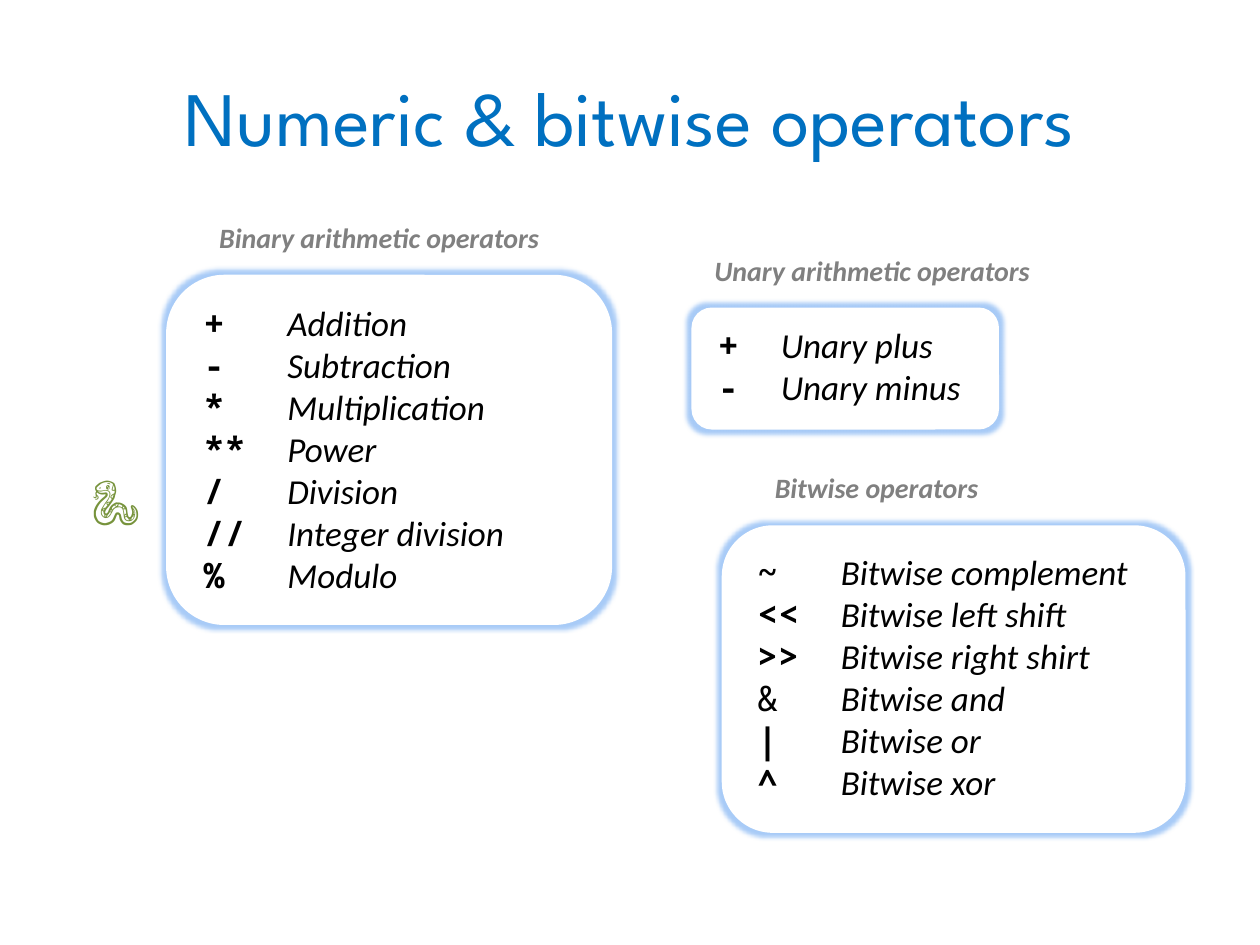
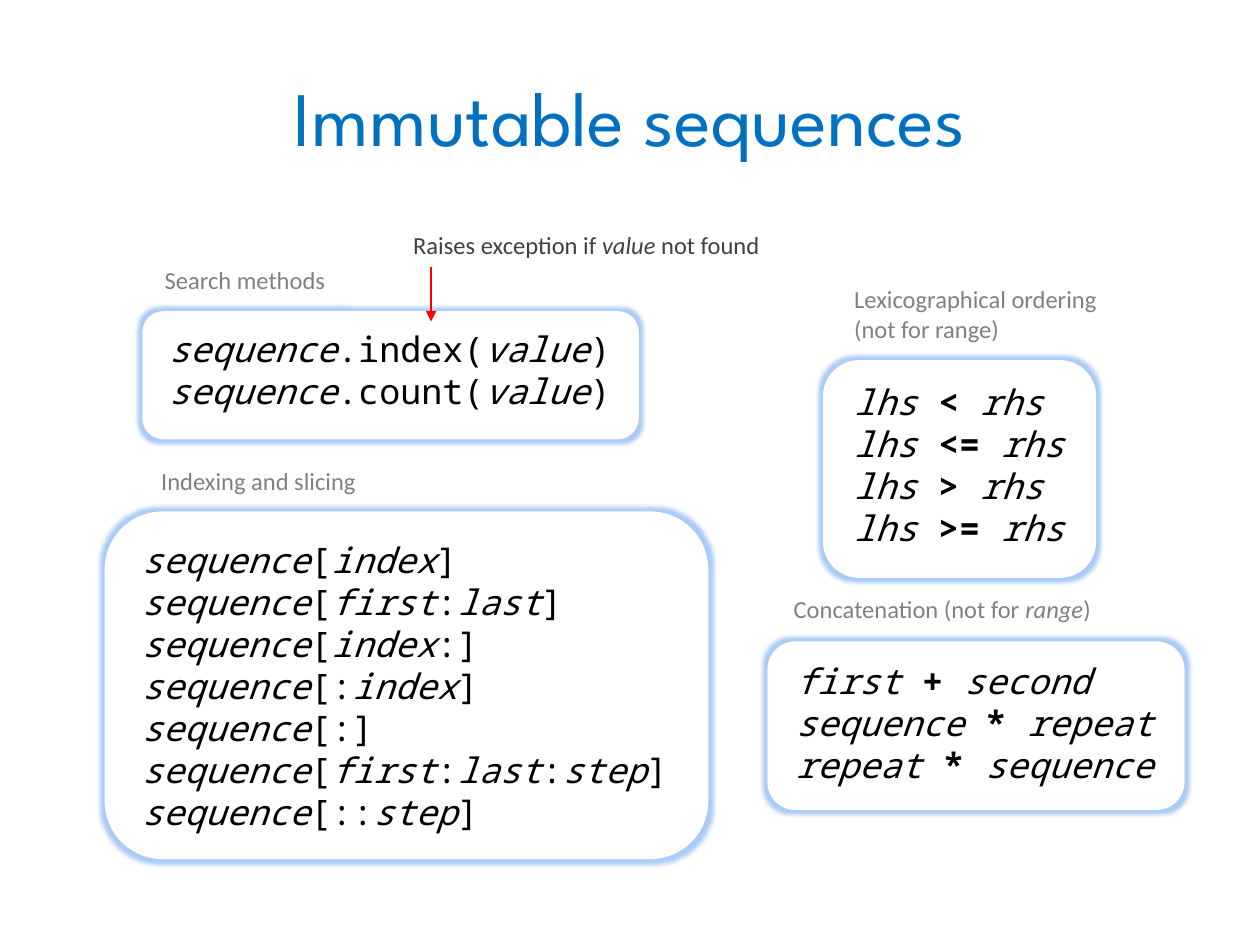
"""Build two reference slides on operators and immutable sequences."""
from dataclasses import dataclass
from typing import Any, NamedTuple

from lxml.etree import SubElement
from pptx import Presentation
from pptx.dml.color import RGBColor
from pptx.enum.shapes import MSO_CONNECTOR as Connector, MSO_SHAPE as Preset
from pptx.enum.text import MSO_ANCHOR as Anchor, PP_ALIGN as Align
from pptx.oxml.ns import qn
from pptx.util import Cm, Pt


@dataclass(frozen=True)
class Theme:
    title_color: str = "0070C0"
    ink: str = "000000"
    caption_color: str = "808080"
    note_color: str = "404040"
    arrow_color: str = "FF0000"
    snake_color: str = "77933C"
    panel_color: str = "FFFFFF"
    glow_color: str = "A8CBF7"
    title_font: str = "League Spartan"
    text_font: str = "Calibri"
    code_font: str = "Noto Sans Mono"
    title_size: int = 44
    panel_size: int = 20
    panel_leading: int = 24
    heading_size: int = 16
    caption_size: int = 14
    snake_size: int = 28


THEME = Theme()


class Frame(NamedTuple):
    left: float
    top: float
    width: float
    height: float

    def lengths(self) -> list[Cm]:
        return [Cm(value) for value in self]


class Style(NamedTuple):
    font: str
    size: int
    color: str
    bold: bool = False
    italic: bool = False


class Span(NamedTuple):
    text: str
    style: Style


Row = list[Span]

TITLE = Style(THEME.title_font, THEME.title_size, THEME.title_color)
CODE = Style(THEME.code_font, THEME.panel_size, THEME.ink)
CODE_BOLD = CODE._replace(bold=True)
CODE_ITALIC = CODE._replace(italic=True)
MEANING = Style(THEME.text_font, THEME.panel_size, THEME.ink, italic=True)
HEADING = Style(THEME.text_font, THEME.heading_size, THEME.caption_color, True, True)
CAPTION = Style(THEME.text_font, THEME.caption_size, THEME.caption_color)
NOTE = CAPTION._replace(color=THEME.note_color)
SNAKE = Style(THEME.text_font, THEME.snake_size, THEME.snake_color)

TITLE_FRAME = Frame(1.27, 0.74, 22.86, 3.18)
PANEL_INSETS = {"margin_left": Cm(0.41), "margin_right": Cm(0.41),
                "margin_top": Cm(0.2), "margin_bottom": Cm(0.2)}


@dataclass(frozen=True)
class Panel:
    frame: Frame
    rows: list[Row]
    tab: float | None = None


@dataclass(frozen=True)
class Label:
    frame: Frame
    row: Row
    wrap: bool = True


@dataclass(frozen=True)
class Arrow:
    x: float
    top: float
    bottom: float


@dataclass(frozen=True)
class Content:
    title: str
    panels: list[Panel]
    labels: list[Label]
    arrows: list[Arrow]


def operators(*pairs: tuple[str, str], plain: str = "") -> list[Row]:
    """Pair each operator with its meaning after a tab."""
    return [[Span(sign + "\t", CODE if sign == plain else CODE_BOLD), Span(meaning, MEANING)]
            for sign, meaning in pairs]


def alternate(line: str, odd: Style, even: Style) -> Row:
    """Split a line at bars and give its parts two styles in turn."""
    return [Span(text, (odd, even)[index % 2]) for index, text in enumerate(line.split("|"))]


def code_rows(*lines: str, sign: Style) -> list[Row]:
    """Set names in italic code and the signs between them in the given style."""
    return [alternate(line, CODE_ITALIC, sign) for line in lines]


def caption(text: str, style: Style) -> Row:
    """Alternate a caption between upright and italic."""
    return alternate(text, style, style._replace(italic=True))


def set_format(target: Any, values: dict[str, Any]) -> None:
    """Set every attribute named in the dict."""
    for name, value in values.items():
        setattr(target, name, value)


def write_row(para: Any, row: Row) -> None:
    """Add the styled spans of a row to a paragraph."""
    for text, style in row:
        span = para.add_run()
        span.text = text
        set_format(span.font, {"name": style.font, "size": Pt(style.size),
                               "bold": style.bold, "italic": style.italic})
        span.font.color.rgb = RGBColor.from_string(style.color)


def draw_title(page: Any, text: str) -> None:
    """Place and format the title placeholder."""
    box = page.shapes.title
    set_format(box, dict(zip(("left", "top", "width", "height"), TITLE_FRAME.lengths())))
    box.text_frame.vertical_anchor = Anchor.MIDDLE
    para = box.text_frame.paragraphs[0]
    para.alignment = Align.CENTER
    write_row(para, [Span(text, TITLE)])


def add_glow(box: Any) -> None:
    """Replace the shadow of a shape by a soft glow."""
    box.shadow.inherit = False
    effects = box._element.spPr.find(qn("a:effectLst"))
    glow = SubElement(effects, qn("a:glow"), rad=str(Pt(5)))
    SubElement(glow, qn("a:srgbClr"), val=THEME.glow_color)


def draw_panel(page: Any, panel: Panel) -> None:
    """Draw a glowing rounded panel with its rows."""
    box = page.shapes.add_shape(Preset.ROUNDED_RECTANGLE, *panel.frame.lengths())
    box.fill.solid()
    box.fill.fore_color.rgb = RGBColor.from_string(THEME.panel_color)
    box.line.fill.background()
    add_glow(box)
    frame = box.text_frame
    set_format(frame, {"word_wrap": True, "vertical_anchor": Anchor.TOP, **PANEL_INSETS})
    for index, row in enumerate(panel.rows):
        para = frame.add_paragraph() if index else frame.paragraphs[0]
        set_format(para, {"alignment": Align.LEFT, "line_spacing": Pt(THEME.panel_leading)})
        if panel.tab:
            stops = SubElement(para._p.get_or_add_pPr(), qn("a:tabLst"))
            SubElement(stops, qn("a:tab"), pos=str(Cm(panel.tab)), algn="l")
        write_row(para, row)


def draw_label(page: Any, label: Label) -> None:
    """Draw a free text label."""
    box = page.shapes.add_textbox(*label.frame.lengths())
    box.text_frame.word_wrap = label.wrap
    write_row(box.text_frame.paragraphs[0], label.row)


def draw_arrow(page: Any, arrow: Arrow) -> None:
    """Draw a thin arrow pointing down."""
    line = page.shapes.add_connector(Connector.STRAIGHT, Cm(arrow.x), Cm(arrow.top),
                                     Cm(arrow.x), Cm(arrow.bottom))
    line.line.color.rgb = RGBColor.from_string(THEME.arrow_color)
    line.line.width = Pt(0.75)
    SubElement(line.line._get_or_add_ln(), qn("a:tailEnd"), type="triangle")
    SubElement(line._element.spPr, qn("a:effectLst"))


OPERATORS = Content(
    "Numeric & bitwise operators",
    [
        Panel(Frame(3.35, 5.54, 8.99, 7.06), operators(
            ("+", "Addition"), ("-", "Subtraction"), ("*", "Multiplication"), ("**", "Power"),
            ("/", "Division"), ("//", "Integer division"), ("%", "Modulo")), 1.69),
        Panel(Frame(13.94, 6.2, 6.2, 2.46), operators(
            ("+", "Unary plus"), ("-", "Unary minus")), 1.27),
        Panel(Frame(14.55, 10.59, 9.35, 6.2), operators(
            ("~", "Bitwise complement"), ("<<", "Bitwise left shift"),
            (">>", "Bitwise right shirt"), ("&", "Bitwise and"),
            ("|", "Bitwise or"), ("^", "Bitwise xor"), plain="&"), 1.69),
    ],
    [
        Label(Frame(4.17, 4.32, 7.01, 0.94), [Span("Binary arithmetic operators", HEADING)]),
        Label(Frame(14.15, 4.98, 7.01, 0.94), [Span("Unary arithmetic operators", HEADING)]),
        Label(Frame(15.37, 9.37, 7.01, 0.94), [Span("Bitwise operators", HEADING)]),
        Label(Frame(1.6, 9.32, 1.5, 1.45), [Span("🐍", SNAKE)], wrap=False),
    ],
    [],
)

SEQUENCES = Content(
    "Immutable sequences",
    [
        Panel(Frame(2.87, 6.27, 10.01, 2.59), code_rows(
            "sequence|.index(|value|)", "sequence|.count(|value|)", sign=CODE)),
        Panel(Frame(15.47, 12.93, 8.41, 3.4), code_rows(
            "first |+ |second", "sequence |* |repeat", "repeat |* |sequence", sign=CODE_BOLD)),
        Panel(Frame(16.59, 7.26, 5.51, 4.39), code_rows(
            *(f"lhs |{sign} |rhs" for sign in ("<", "<=", ">", ">=")), sign=CODE_BOLD)),
        Panel(Frame(2.11, 10.31, 12.17, 7.01), code_rows(
            "sequence|[|index|]", "sequence|[|first|:|last|]", "sequence|[|index|:]",
            "sequence|[:|index|]", "sequence|[:]", "sequence|[|first|:|last|:|step|]",
            "sequence|[::|step|]", sign=CODE)),
    ],
    [
        Label(Frame(15.75, 11.86, 6.53, 0.86),
              caption("Concatenation (not for |range|)", CAPTION), wrap=False),
        Label(Frame(16.97, 5.61, 6.3, 1.45),
              caption("Lexicographical ordering (not for range)", CAPTION)),
        Label(Frame(3, 9.27, 4.47, 0.86), caption("Indexing and slicing", CAPTION), wrap=False),
        Label(Frame(3.07, 5.21, 3.78, 0.86), caption("Search methods", CAPTION), wrap=False),
        Label(Frame(8.08, 4.52, 8.41, 0.86),
              caption("Raises exception if |value| not found", NOTE)),
    ],
    [Arrow(8.69, 5.38, 6.48)],
)


def main() -> None:
    """Build and save the deck."""
    deck = Presentation()
    set_format(deck, {"slide_width": Cm(25.4), "slide_height": Cm(19.05)})
    for content in (OPERATORS, SEQUENCES):
        page = deck.slides.add_slide(deck.slide_layouts[5])
        draw_title(page, content.title)
        for panel in content.panels:
            draw_panel(page, panel)
        for label in content.labels:
            draw_label(page, label)
        for arrow in content.arrows:
            draw_arrow(page, arrow)
    deck.save("out.pptx")


if __name__ == "__main__":
    main()
